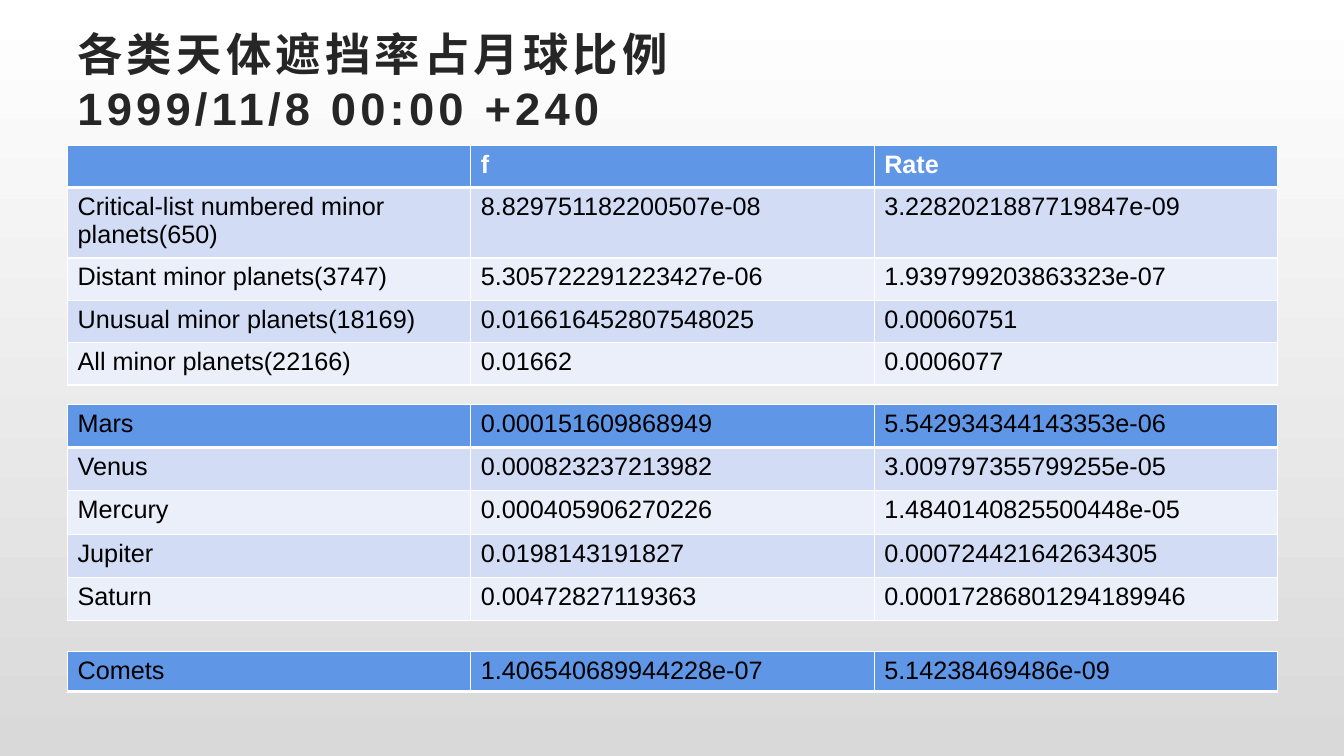
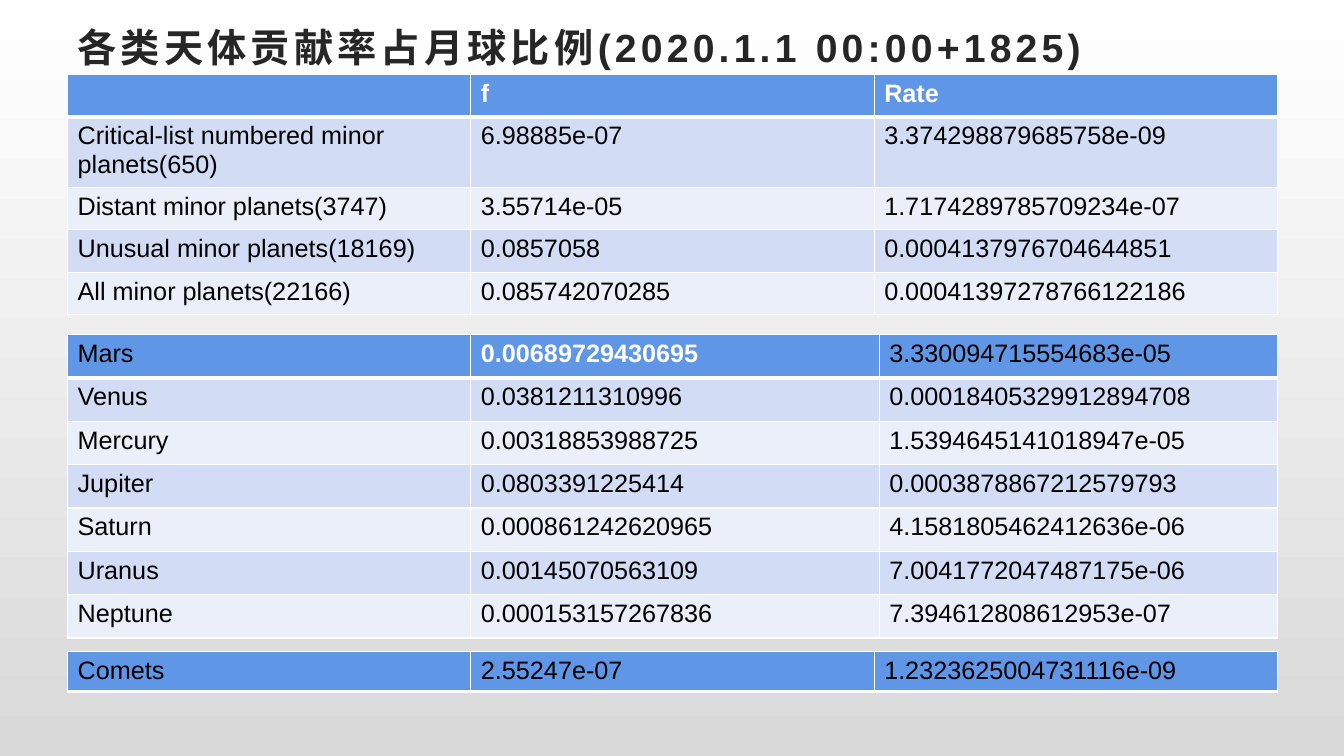
import pptx
import pptx.dml.color
import pptx.enum.lang
import pptx.enum.text
import pptx.oxml
import pptx.oxml.ns
import pptx.util

Inches = pptx.util.Inches
Pt = pptx.util.Pt

COLOURS = {
    "top": "FFFFFF",
    "bottom": "D9D9D9",
    "title": "262626",
    "text": "000000",
    "white": "FFFFFF",
    "header": "6096E6",
    "odd": "D2DDF5",
    "even": "EAEFFA",
}
FONT = "Arial"
LEFT, WIDTH = 0.67, 12
EQUAL_COLUMNS = [4, 4, 4]
HEADINGS = ["", "f", "Rate"]
GROUPS = [
    "Critical-list numbered minor planets(650)",
    "Distant minor planets(3747)",
    "Unusual minor planets(18169)",
    "All minor planets(22166)",
]
PLANETS = ["Mars", "Venus", "Mercury", "Jupiter", "Saturn", "Uranus", "Neptune"]

SLIDES = [
    {
        "title": ["各类天体遮挡率占月球比例", "1999/11/8 00:00 +240"],
        "title_place": (0.22, 1.15),
        "title_size": 32.4,
        "groups_top": 1.44,
        "groups_heights": [0.42, 0.66, 0.42, 0.42, 0.42],
        "groups": [
            ("8.829751182200507e-08", "3.2282021887719847e-09"),
            ("5.305722291223427e-06", "1.939799203863323e-07"),
            ("0.016616452807548025", "0.00060751"),
            ("0.01662", "0.0006077"),
        ],
        "planets_top": 4.01,
        "planets_columns": EQUAL_COLUMNS,
        "planets": [
            ("0.000151609868949", "5.542934344143353e-06"),
            ("0.000823237213982", "3.009797355799255e-05"),
            ("0.000405906270226", "1.4840140825500448e-05"),
            ("0.0198143191827", "0.000724421642634305"),
            ("0.00472827119363", "0.00017286801294189946"),
        ],
        "white_cells": [],
        "comets": ("1.406540689944228e-07", "5.14238469486e-09"),
    },
    {
        "title": ["各类天体贡献率占月球比例(2020.1.1 00:00+1825)"],
        "title_place": (0.08, 0.77),
        "title_size": 28,
        "groups_top": 0.74,
        "groups_heights": [0.42, 0.7, 0.42, 0.42, 0.42],
        "groups": [
            ("6.98885e-07", "3.374298879685758e-09"),
            ("3.55714e-05", "1.7174289785709234e-07"),
            ("0.0857058", "0.0004137976704644851"),
            ("0.085742070285", "0.00041397278766122186"),
        ],
        "planets_top": 3.32,
        "planets_columns": [4, 4.05, 3.95],
        "planets": [
            ("0.00689729430695", "3.330094715554683e-05"),
            ("0.0381211310996", "0.00018405329912894708"),
            ("0.00318853988725", "1.5394645141018947e-05"),
            ("0.0803391225414", "0.0003878867212579793"),
            ("0.000861242620965", "4.1581805462412636e-06"),
            ("0.00145070563109", "7.0041772047487175e-06"),
            ("0.000153157267836", "7.394612808612953e-07"),
        ],
        "white_cells": [1],
        "comets": ("2.55247e-07", "1.2323625004731116e-09"),
    },
]


def add_run(paragraph, text, size, colour, bold):
    run = paragraph.add_run()
    run.text = text
    run.font.name = FONT
    run.font.size = Pt(size)
    run.font.bold = bold
    run.font.color.rgb = pptx.dml.color.RGBColor.from_string(COLOURS[colour])
    return run


def add_data_table(slide, top, columns, heights, rows, white_cells):
    """Add a table with a dark first row; white_cells are its columns in bold white."""
    frame = slide.shapes.add_table(
        len(rows), len(columns), Inches(LEFT), Inches(top), Inches(WIDTH), Inches(sum(heights))
    )
    table = frame.table
    for column, width in zip(table.columns, columns):
        column.width = Inches(width)
    for row_index, values in enumerate(rows):
        table.rows[row_index].height = Inches(heights[row_index])
        fill = "header" if row_index == 0 else "odd" if row_index % 2 else "even"
        edges = {
            "lnL": 1,
            "lnR": 1,
            "lnT": 3 if row_index == 1 else 1,
            "lnB": 3 if row_index == 0 else 1,
        }
        for column_index, value in enumerate(values):
            cell = table.cell(row_index, column_index)
            cell.fill.solid()
            cell.fill.fore_color.rgb = pptx.dml.color.RGBColor.from_string(COLOURS[fill])
            properties = cell._tc.get_or_add_tcPr()
            for position, (edge, points) in enumerate(edges.items()):
                line = pptx.oxml.parse_xml(
                    f'<a:{edge} {pptx.oxml.ns.nsdecls("a")} w="{Pt(points)}"><a:solidFill>'
                    f'<a:srgbClr val="{COLOURS["white"]}"/></a:solidFill></a:{edge}>'
                )
                properties.insert(position, line)
            paragraph = cell.text_frame.paragraphs[0]
            paragraph.font.size = Pt(18)
            if value:
                highlighted = row_index == 0 and column_index in white_cells
                add_run(paragraph, value, 18, "white" if highlighted else "text", highlighted)


presentation = pptx.Presentation()
presentation.slide_width = Inches(13.33)
presentation.slide_height = Inches(7.5)

background = presentation.slide_master.background.fill
background.gradient()
background.gradient_angle = 270
for stop, name, position in zip(background.gradient_stops, ("top", "bottom"), (0, 1)):
    stop.color.rgb = pptx.dml.color.RGBColor.from_string(COLOURS[name])
    stop.position = position

for content in SLIDES:
    slide = presentation.slides.add_slide(presentation.slide_layouts[6])

    title_top, title_height = content["title_place"]
    title = slide.shapes.add_textbox(
        Inches(LEFT), Inches(title_top), Inches(WIDTH), Inches(title_height)
    )
    title.text_frame.word_wrap = True
    title.text_frame.vertical_anchor = pptx.enum.text.MSO_ANCHOR.MIDDLE
    paragraph = title.text_frame.paragraphs[0]
    for line_index, line in enumerate(content["title"]):
        if line_index:
            paragraph.add_line_break()
        run = add_run(paragraph, line, content["title_size"], "title", True)
        run.font.language_id = pptx.enum.lang.MSO_LANGUAGE_ID.SIMPLIFIED_CHINESE
        run.font._element.set("spc", "300")

    groups = [HEADINGS] + [(name, *values) for name, values in zip(GROUPS, content["groups"])]
    add_data_table(
        slide, content["groups_top"], EQUAL_COLUMNS, content["groups_heights"], groups, [1, 2]
    )

    planets = [(name, *values) for name, values in zip(PLANETS, content["planets"])]
    add_data_table(
        slide, content["planets_top"], content["planets_columns"],
        [0.43] * len(planets), planets, content["white_cells"],
    )

    comets = [("Comets", *content["comets"])]
    add_data_table(slide, 6.46, EQUAL_COLUMNS, [0.4], comets, [])

presentation.save("out.pptx")
